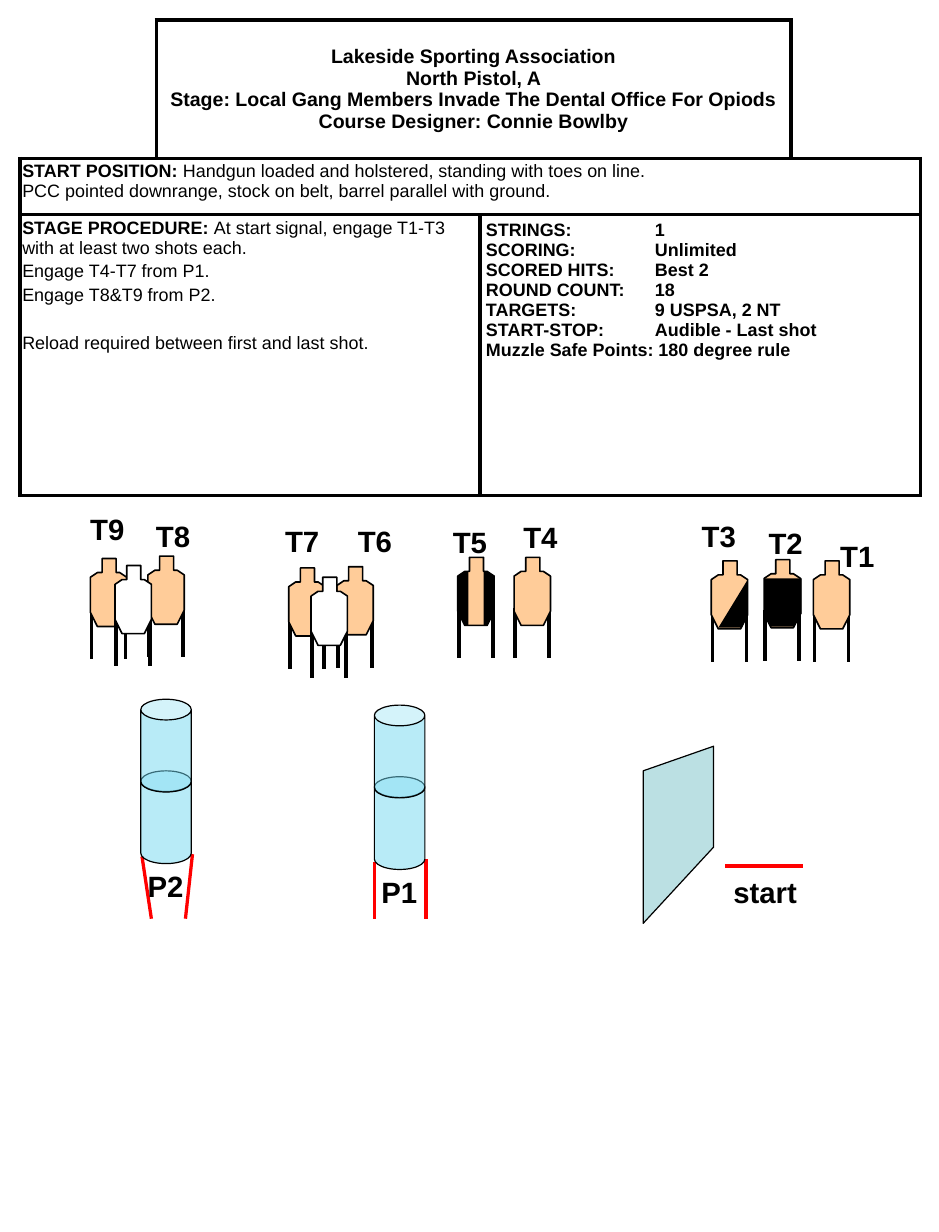
"""Build the one-page stage plan with its briefing table and range layout."""
from lxml import etree
from pptx import Presentation
from pptx.dml.color import RGBColor
from pptx.enum.shapes import MSO_CONNECTOR, MSO_SHAPE
from pptx.enum.text import MSO_ANCHOR, PP_ALIGN
from pptx.oxml import parse_xml
from pptx.oxml.ns import nsdecls, qn
from pptx.util import Inches, Pt

LINE, CAN = MSO_CONNECTOR.STRAIGHT, MSO_SHAPE.CAN
TOP, MID = MSO_ANCHOR.TOP, MSO_ANCHOR.MIDDLE
LEFT, MIDDLE = PP_ALIGN.LEFT, PP_ALIGN.CENTER
HEX = {"ink": "000000", "paper": "FFFFFF", "tan": "FFCC99",
       "red": "FF0000", "sky": "73D9F1", "wall": "BBE0E3"}
RGB = {name: RGBColor.from_string(code) for name, code in HEX.items()}


def trace(shapes, left, top, points, fill, width):
    dots = [(Inches(left + x), Inches(top + y)) for x, y in points]
    form = shapes.build_freeform(*dots[0])
    form.add_line_segments(dots[1:], close=True)
    shape = form.convert_to_shape()
    shape.shadow.inherit = False
    shape.fill.solid()
    shape.fill.fore_color.rgb = RGB[fill]
    if width:
        shape.line.color.rgb = RGB["ink"]
        shape.line.width = Pt(width)
    else:
        shape.line.fill.background()


def rule(shapes, x1, y1, x2, y2, color, width):
    line = shapes.add_connector(LINE, *map(Inches, (x1, y1, x2, y2)))
    line.line.color.rgb = RGB[color]
    line.line.width = Pt(width)
    etree.SubElement(line._element.spPr, qn("a:effectLst"))


deck = Presentation()
deck.slide_width, deck.slide_height = Inches(8), Inches(10.5)
slide = deck.slides.add_slide(deck.slide_layouts[6])
shapes = slide.shapes

table = shapes.add_table(3, 4, *map(Inches, (0.17, 0.17, 7.67, 4.05))).table
table.first_row = table.horz_banding = False
for col, width in zip(table.columns, (1.16, 2.76, 2.65, 1.1)):
    col.width = Inches(width)
for row, height in zip(table.rows, (1.18, 0.48, 2.39)):
    row.height = Inches(height)

bare = {(0, 0): "LT", (0, 3): "RT"}
for r in range(3):
    for c in range(4):
        cell = table.cell(r, c)
        cell.fill.solid()
        cell.fill.fore_color.rgb = RGB["paper"]
        props = cell._tc.get_or_add_tcPr()
        for i, side in enumerate("LRTB"):
            paint = f'<a:solidFill><a:srgbClr val="{HEX["ink"]}"/></a:solidFill>'
            if side in bare.get((r, c), ""):
                paint = "<a:noFill/>"
            props.insert(i, parse_xml(
                f'<a:ln{side} {nsdecls("a")} w="{Pt(2.25)}">{paint}</a:ln{side}>'))
for r, c, last in ((0, 1, 2), (1, 0, 3), (2, 0, 1), (2, 2, 3)):
    table.cell(r, c).merge(table.cell(r, last))

briefs = [
    (0, 1, 0.05, 0.05, MID, 12, {"alignment": MIDDLE}, [
        (0, "Lakeside Sporting Association", ""),
        (0, "North Pistol, A", ""),
        (0, "Stage: Local Gang Members Invade The Dental Office For Opiods", ""),
        (0, "Course Designer: Connie Bowlby", "")]),
    (1, 0, 0.02, 0.04, TOP, 11, {"alignment": LEFT, "line_spacing": 0.9}, [
        (0, "START POSITION: ",
         "Handgun loaded and holstered, standing with toes on line."),
        (1.1, "", "PCC pointed downrange, stock on belt, barrel parallel with ground.")]),
    (2, 0, 0.02, 0.03, TOP, 11, {"alignment": LEFT}, [
        (0, "STAGE PROCEDURE: ",
         "At start signal, engage T1-T3 with at least two shots each."),
        (2.2, "", "Engage T4-T7 from P1."),
        (2.2, "", "Engage T8&T9 from P2."),
        (17, "", "Reload required between first and last shot.")]),
    (2, 2, 0.05, 0.05, TOP, 11, {"alignment": LEFT}, [
        (0, "STRINGS:\t1", ""),
        (0, "SCORING:\tUnlimited", ""),
        (0, "SCORED HITS:\tBest 2", ""),
        (0, "ROUND COUNT:\t18", ""),
        (0, "TARGETS:\t9 USPSA, 2 NT", ""),
        (0, "START-STOP:\tAudible - Last shot", ""),
        (0, "Muzzle Safe Points: 180 degree rule", "")]),
]
for r, c, side, edge, anchor, size, style, lines in briefs:
    cell = table.cell(r, c)
    cell.margin_left = cell.margin_right = Inches(side)
    cell.margin_top = cell.margin_bottom = Inches(edge)
    cell.vertical_anchor = anchor
    for i, (gap, head, body) in enumerate(lines):
        para = cell.text_frame.paragraphs[0]
        if i:
            para = cell.text_frame.add_paragraph()
        if "\t" in head:
            tabs = etree.SubElement(para._p.get_or_add_pPr(), qn("a:tabLst"))
            etree.SubElement(tabs, qn("a:tab"), pos=str(Inches(1.44)), algn="l")
        for key, value in {**style, "space_before": Pt(gap)}.items():
            setattr(para, key, value)
        for text, bold in ((head, True), (body, False)):
            if text:
                run = para.add_run()
                run.text = text
                for key, value in {"name": "Arial", "size": Pt(size), "bold": bold}.items():
                    setattr(run.font, key, value)
                run.font.color.rgb = RGB["ink"]

for ends in ((6.84, 7.38, 6.18, 7.38), (1.58, 7.83, 1.64, 7.28),
             (1.21, 7.3, 1.29, 7.83), (3.19, 7.35, 3.19, 7.83),
             (3.63, 7.83, 3.63, 7.32)):
    rule(shapes, *ends, "red", 2)

labels = {"P1": (3.15, 7.4), "P2": (1.16, 7.35), "start": (6.15, 7.4),
          "T1": (7.06, 4.54), "T2": (6.45, 4.43), "T3": (5.88, 4.37),
          "T4": (4.36, 4.38), "T5": (3.76, 4.42), "T6": (2.95, 4.41),
          "T7": (2.33, 4.41), "T8": (1.23, 4.37), "T9": (0.67, 4.31)}
for text, (x, y) in labels.items():
    width = 0.86 if text == "start" else 0.58
    box = shapes.add_textbox(*map(Inches, (x, y, width, 0.4)))
    box.text_frame.word_wrap = True
    run = box.text_frame.paragraphs[0].add_run()
    run.text = text
    for key, value in {"name": "Arial", "size": Pt(18), "bold": True}.items():
        setattr(run.font, key, value)
    run.font.color.rgb = RGB["ink"]

body = [(0.1, 0), (0.22, 0), (0.22, 0.12), (0.25, 0.12), (0.31, 0.16),
        (0.31, 0.46), (0.25, 0.58), (0.06, 0.58), (0, 0.46), (0, 0.16),
        (0.06, 0.12), (0.1, 0.12)]
strip = [(0.22, 0.12), (0.22, 0.58), (0.25, 0.58), (0.31, 0.46),
         (0.31, 0.16), (0.25, 0.12)]
flip = [(0.31 - x, y) for x, y in strip]
block = [(0, 0.16), (0.32, 0.16), (0.32, 0.46), (0.25, 0.57), (0.06, 0.57), (0, 0.46)]
slant = [(0.31, 0.16), (0.31, 0.46), (0.26, 0.57), (0.06, 0.57)]
targets = [(0.77, 4.76, "tan", []), (3.9, 4.75, "tan", [strip, flip]),
           (6.51, 4.77, "tan", [block]), (6.06, 4.78, "tan", [slant]),
           (1.26, 4.74, "tan", []), (2.87, 4.83, "tan", []),
           (4.38, 4.75, "tan", []), (6.93, 4.78, "tan", []),
           (2.46, 4.84, "tan", []), (2.65, 4.92, "paper", []),
           (0.98, 4.82, "paper", [])]
for x, y, fill, covers in targets:
    group = shapes.add_group_shape().shapes
    for leg in (0.01, 0.3):
        rule(group, x + leg, y + 0.43, x + leg, y + 0.86, "ink", 2.25)
    trace(group, x, y, body, fill, 1)
    for cover in covers:
        trace(group, x, y, cover, "ink", 0)

for x, y in ((1.2, 5.96), (3.19, 6.01)):
    group = shapes.add_group_shape().shapes
    for drop in (0.61, 0):
        can = group.add_shape(CAN, *map(Inches, (x, y + drop, 0.43, 0.79)))
        can.adjustments[0] = 0.41
        can.shadow.inherit = False
        can.fill.solid()
        can.fill.fore_color.rgb = RGB["sky"]
        tint = can._element.spPr.find(".//" + qn("a:srgbClr"))
        etree.SubElement(tint, qn("a:alpha"), val="50000")
        can.line.color.rgb = RGB["ink"]
        can.line.width = Pt(0.75)

wall = [(0.6, 0.86), (0, 1.51), (0, 0.21), (0.6, 0)]
trace(shapes, 5.48, 6.36, wall, "wall", 0.75)

deck.save("out.pptx")
